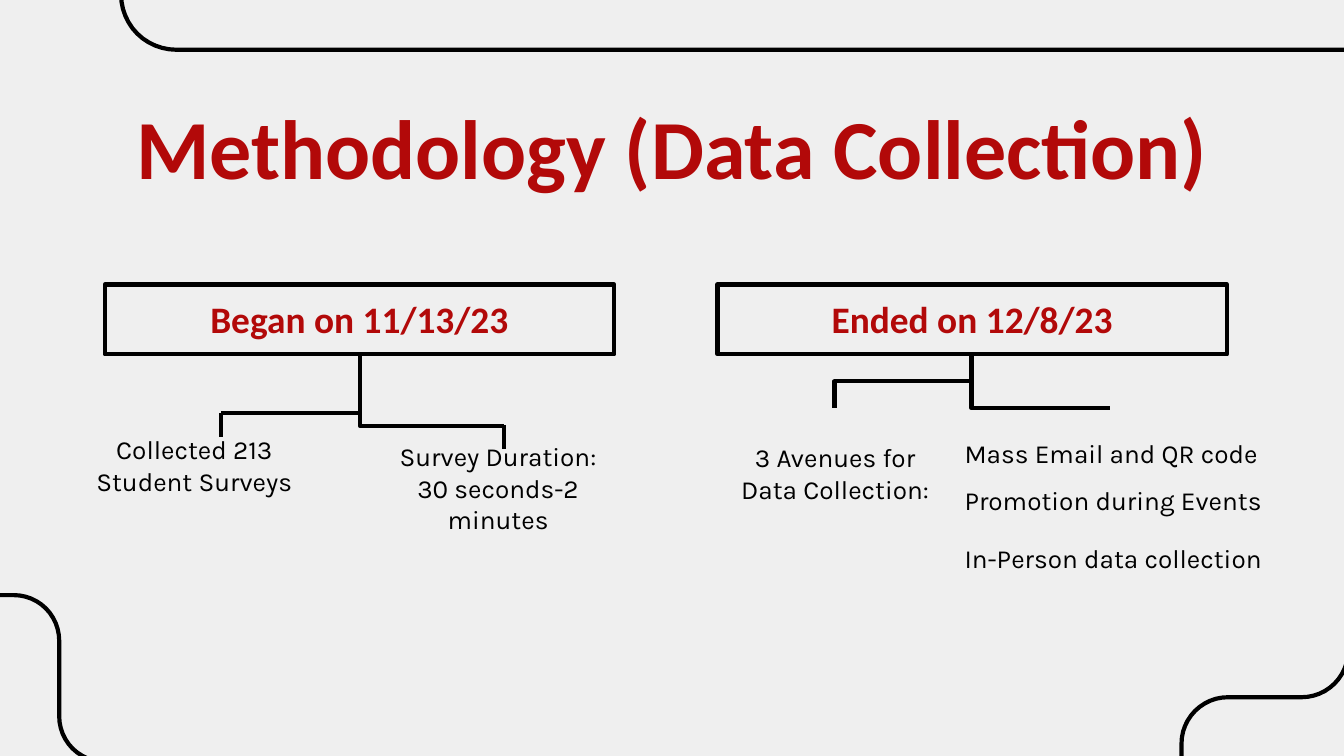
"""Build the data collection methodology slide with its two date branches."""
import math

import pptx
import pptx.dml.color
import pptx.enum.shapes
import pptx.enum.text
import pptx.oxml
import pptx.util
from pptx.util import Cm

RED = pptx.dml.color.RGBColor(0xB2, 0x09, 0x09)
BLACK = pptx.dml.color.RGBColor(0, 0, 0)
BACKGROUND = pptx.dml.color.RGBColor(0xEF, 0xEF, 0xEF)
EFFECT_LIST = '<a:effectLst xmlns:a="http://schemas.openxmlformats.org/drawingml/2006/main"/>'
CENTER = pptx.enum.text.PP_ALIGN.CENTER
LEFT = pptx.enum.text.PP_ALIGN.LEFT
TOP = pptx.enum.text.MSO_ANCHOR.TOP
BOTTOM = pptx.enum.text.MSO_ANCHOR.BOTTOM


def write_text(shape, lines, font_name, size, color, bold=False, alignment=CENTER, anchor=TOP):
    frame = shape.text_frame
    frame.word_wrap = True
    frame.auto_size = pptx.enum.text.MSO_AUTO_SIZE.NONE
    frame.vertical_anchor = anchor
    frame.margin_left = frame.margin_right = Cm(0.25)
    frame.margin_top = frame.margin_bottom = Cm(0.25)
    frame.text = "\n".join(lines)
    for paragraph in frame.paragraphs:
        paragraph.alignment = alignment
        paragraph.font.name = font_name
        paragraph.font.size = pptx.util.Pt(size)
        paragraph.font.bold = bold
        paragraph.font.color.rgb = color


def add_line(kind, start_x, start_y, end_x, end_y):
    line = slide.shapes.add_connector(kind, Cm(start_x), Cm(start_y), Cm(end_x), Cm(end_y))
    line.line.color.rgb = BLACK
    line.line.width = pptx.util.Pt(2.25)
    line._element.spPr.append(pptx.oxml.parse_xml(EFFECT_LIST))
    return line


presentation = pptx.Presentation()
presentation.slide_width = Cm(25.4)
presentation.slide_height = Cm(14.29)
slide = presentation.slides.add_slide(presentation.slide_layouts[5])
slide.background.fill.solid()
slide.background.fill.fore_color.rgb = BACKGROUND

title = slide.shapes.title
title.left, title.top, title.width, title.height = Cm(1.98), Cm(1.55), Cm(21.44), Cm(2.29)
write_text(title, ["Methodology (Data Collection)"], "Calibri", 45, RED, bold=True)

borders = [
    (1.04, [(2.29, -1.14), (2.29, 0.94), (25.42, 0.94)]),
    (0.88, [(25.48, 12.29), (25.48, 13.18), (22.33, 13.18), (22.33, 14.38)]),
    (0.86, [(-0.08, 11.25), (1.12, 11.25), (1.12, 14.4), (1.98, 14.4)]),
]
for radius, corners in borders:
    outline = []
    for before, corner, after in zip(corners, corners[1:], corners[2:]):
        length_in, length_out = math.dist(before, corner), math.dist(corner, after)
        for step in range(13):
            angle = math.pi / 2 * step / 12
            back = radius * (1 - math.sin(angle)) / length_in
            ahead = radius * (1 - math.cos(angle)) / length_out
            outline.append(tuple(
                Cm(c + (b - c) * back + (a - c) * ahead)
                for b, c, a in zip(before, corner, after)
            ))
    outline.append(tuple(Cm(value) for value in corners[-1]))
    builder = slide.shapes.build_freeform(Cm(corners[0][0]), Cm(corners[0][1]))
    builder.add_line_segments(outline, close=False)
    border = builder.convert_to_shape()
    border.shadow.inherit = False
    border.fill.background()
    border.line.color.rgb = BLACK
    border.line.width = pptx.util.Pt(2.25)

for left, heading in [(1.98, "Began on 11/13/23"), (13.56, "Ended on 12/8/23")]:
    box = slide.shapes.add_shape(
        pptx.enum.shapes.MSO_SHAPE.RECTANGLE, Cm(left), Cm(5.38), Cm(9.63), Cm(1.32))
    box.shadow.inherit = False
    box.fill.background()
    box.line.color.rgb = BLACK
    box.line.width = pptx.util.Pt(2.25)
    write_text(box, [heading], "Calibri", 20, RED, bold=True, anchor=BOTTOM)

details = [
    (1.45, 7.95, ["Collected 213 Student Surveys"]),
    (7.19, 8.08, ["Survey Duration:", "30 seconds-2 minutes"]),
    (13.56, 8.1, ["3 Avenues for Data Collection:"]),
]
for left, top, lines in details:
    detail = slide.shapes.add_textbox(Cm(left), Cm(top), Cm(4.45), Cm(2.39))
    write_text(detail, lines, "Karla", 14, BLACK)

avenues = slide.shapes.add_textbox(Cm(17.98), Cm(7.72), Cm(7.4), Cm(3.4))
avenue_lines = ["Mass Email and QR code", "Promotion during Events", "In-Person data collection"]
write_text(avenues, avenue_lines, "Karla", 14, BLACK, alignment=LEFT)
for paragraph in avenues.text_frame.paragraphs:
    paragraph.line_spacing = 1.5
avenues.text_frame.paragraphs[-1].space_before = pptx.util.Pt(6)

elbows = [
    (6.8, 4.17, 7.8, "bentConnector2"),
    (6.8, 9.53, 8.05, "bentConnector2"),
    (18.36, 15.77, 7.72, "bentConnector3"),
    (18.36, 20.98, 7.72, "bentConnector2"),
]
for start_x, end_x, end_y, preset in elbows:
    elbow = add_line(pptx.enum.shapes.MSO_CONNECTOR.ELBOW, start_x, 6.7, end_x, end_y)
    across, down = abs(end_x - start_x), end_y - 6.7
    transform = elbow._element.spPr.xfrm
    transform.attrib.pop("flipH", None)
    if end_x < start_x:
        transform.set("rot", "5400000")
    else:
        transform.set("rot", "16200000")
        transform.set("flipH", "1")
    elbow.left = Cm((start_x + end_x - down) / 2)
    elbow.top = Cm((6.7 + end_y - across) / 2)
    elbow.width, elbow.height = Cm(down), Cm(across)
    elbow._element.spPr.prstGeom.set("prst", preset)

for x, top in [(4.17, 7.8), (9.53, 8.03)]:
    add_line(pptx.enum.shapes.MSO_CONNECTOR.STRAIGHT, x, top, x, top + 0.46)

presentation.save("out.pptx")
